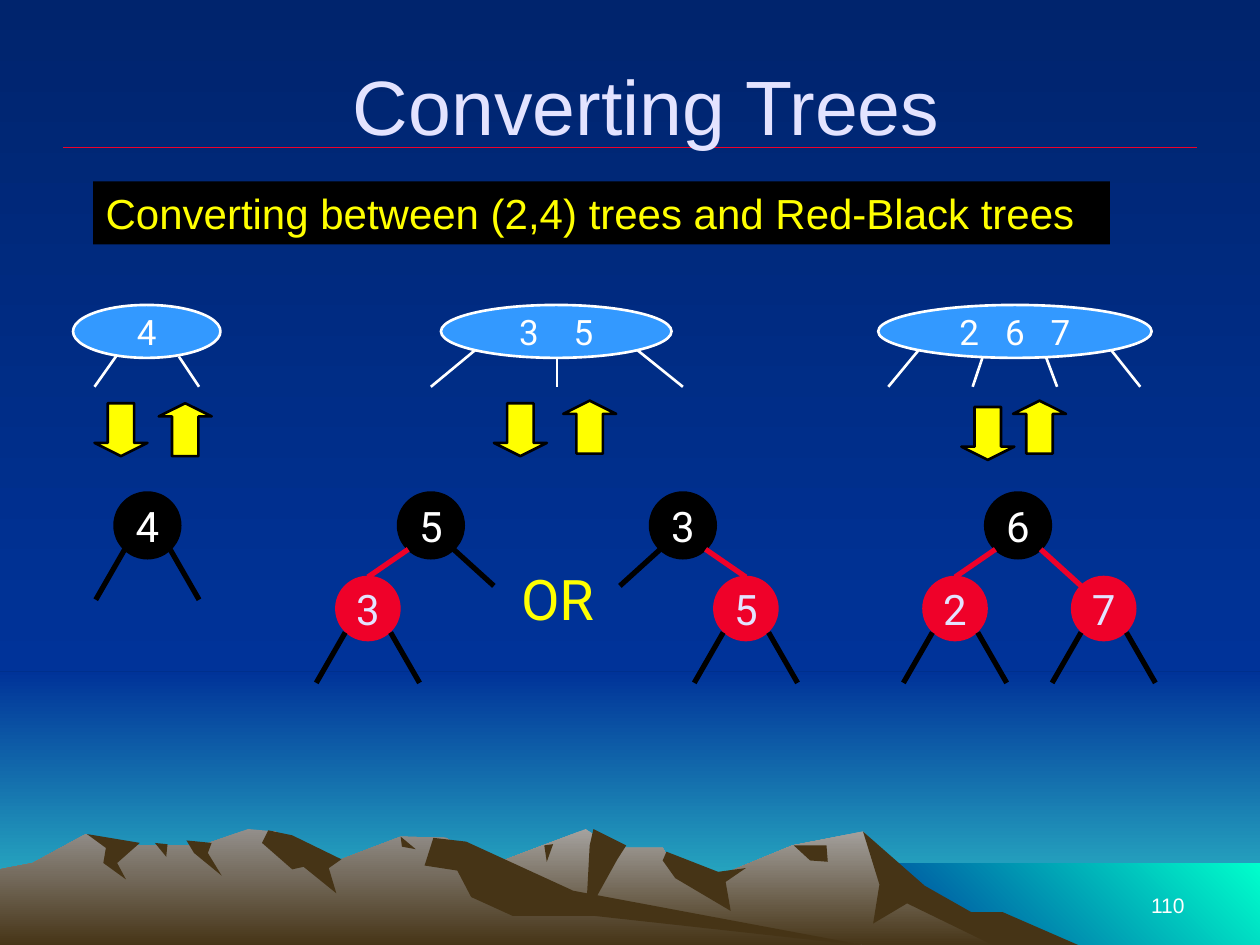
import pptx
import pptx.util
import pptx.dml.color
import pptx.enum.dml
import pptx.enum.shapes
import pptx.enum.text
import pptx.oxml.ns
from lxml import etree

RGB = pptx.dml.color.RGBColor
SHAPE = pptx.enum.shapes.MSO_SHAPE
ALIGN = pptx.enum.text.PP_ALIGN
ANCHOR = pptx.enum.text.MSO_ANCHOR
PX = 9144

NAVY = RGB(0x00, 0x24, 0x6D)
BLUE = RGB(0x00, 0x33, 0x99)
TEAL = RGB(0x33, 0xCC, 0xCC)
AQUA = RGB(0x00, 0xFF, 0xCC)
STONE = RGB(0xA5, 0xA2, 0x9F)
DUST = RGB(0x93, 0x8F, 0x8B)
EARTH = RGB(0x46, 0x34, 0x16)
SKY = RGB(0x33, 0x99, 0xFF)
RED = RGB(0xEF, 0x01, 0x29)
BLACK = RGB(0x00, 0x00, 0x00)
WHITE = RGB(0xFF, 0xFF, 0xFF)
YELLOW = RGB(0xFF, 0xFF, 0x00)
LILAC = RGB(0xE3, 0xE3, 0xFF)

TITLE = {"name": "Arial", "size": pptx.util.Pt(44)}
CAPTION = {"name": "Arial", "size": pptx.util.Pt(24)}
NUMBER = {"name": "Arial", "size": pptx.util.Pt(12)}
KEYS = {"name": "Roboto", "size": pptx.util.Pt(20)}
NODE = {"name": "Roboto", "size": pptx.util.Pt(24)}
CHOICE = {"name": "Roboto", "size": pptx.util.Pt(32)}


def write(holder, text, values, color, align=ALIGN.CENTER, anchor=ANCHOR.MIDDLE, wrap=False, gap=0):
    frame = holder.text_frame
    frame.word_wrap = wrap
    frame.vertical_anchor = anchor
    paragraph = frame.paragraphs[0]
    paragraph.alignment = align
    for piece in text.replace(" ", "| |").split("|") if gap else [text]:
        run = paragraph.add_run()
        run.text = piece
        for attribute, value in values.items():
            setattr(run.font, attribute, value)
        run.font.color.rgb = color
        if piece == " ":
            run.font._element.set("spc", str(gap))


def draw(kind, box, fills, angle=270, line=None, width=1.5):
    shape = slide.shapes.add_shape(kind, *[length * PX for length in box])
    shape.shadow.inherit = False
    if len(fills) == 1:
        shape.fill.solid()
        shape.fill.fore_color.rgb = fills[0]
    else:
        shape.fill.gradient()
        shape.fill.gradient_angle = angle
        for stop, color in zip(shape.fill.gradient_stops, fills):
            stop.color.rgb = color
    if line is None:
        shape.line.fill.background()
    else:
        shape.line.color.rgb = line
        shape.line.width = pptx.util.Pt(width)
    return shape


deck = pptx.Presentation()
deck.slide_width = 1000 * PX
deck.slide_height = 750 * PX
slide = deck.slides.add_slide(deck.slide_layouts[5])

backdrop = slide.background.fill
backdrop.gradient()
backdrop.gradient_angle = 270
for stop, color in zip(backdrop.gradient_stops, [NAVY, BLUE]):
    stop.color.rgb = color

draw(SHAPE.RECTANGLE, (0, 533, 1000, 217), [BLUE, TEAL])
draw(SHAPE.RECTANGLE, (0, 0, 1000, 533), [NAVY, BLUE])
draw(SHAPE.RECTANGLE, (683, 685, 317, 67), [BLUE, AQUA], 45)

mountains = [
    ([STONE, EARTH], [
        (821, 751), (764, 723), (723, 698), (685, 660), (629, 671), (566, 697), (536, 690), (526, 673),
        (486, 673), (465, 658), (394, 685), (327, 709), (258, 751)]),
    ([EARTH], [
        (796, 724), (771, 724), (734, 703), (685, 660), (698, 702), (693, 733), (720, 717), (792, 752),
        (858, 751)]),
    ([EARTH], [(471, 658), (468, 671), (465, 727), (490, 682), (497, 671)]),
    ([EARTH], [(529, 676), (526, 683), (536, 697), (580, 723), (576, 700), (592, 689), (570, 692)]),
    ([EARTH], [(630, 671), (643, 683), (657, 684), (656, 671)]),
    ([EARTH], [(432, 671), (439, 670), (434, 684)]),
    ([DUST, EARTH], [
        (690, 751), (432, 712), (354, 665), (318, 664), (271, 682), (236, 681), (219, 660), (197, 658),
        (160, 671), (94, 671), (68, 662), (26, 685), (0, 690), (0, 751)]),
    ([EARTH], [
        (213, 659), (208, 669), (232, 690), (241, 688), (267, 709), (261, 689), (271, 682), (232, 663)]),
    ([EARTH], [
        (370, 668), (344, 665), (337, 687), (363, 691), (374, 712), (407, 727), (472, 727), (690, 751),
        (455, 707)]),
    ([EARTH], [(318, 664), (330, 674), (319, 672)]),
    ([EARTH], [(148, 667), (168, 669), (165, 677), (176, 695), (154, 677)]),
    ([EARTH], [(123, 669), (133, 670), (132, 680)]),
    ([EARTH], [(69, 662), (111, 669), (93, 685), (100, 698), (82, 685), (84, 673)]),
]
for colors, outline in mountains:
    builder = slide.shapes.build_freeform(*outline[0], scale=PX)
    builder.add_line_segments(outline[1:], close=True)
    terrain = builder.convert_to_shape()
    terrain.shadow.inherit = False
    terrain.line.fill.background()
    if len(colors) == 1:
        terrain.fill.solid()
        terrain.fill.fore_color.rgb = colors[0]
    else:
        terrain.fill.gradient()
        terrain.fill.gradient_angle = 270
        for stop, color in zip(terrain.fill.gradient_stops, colors):
            stop.color.rgb = color

segments = [(50, 117, 950, 117, RED, 0.75, None)]

multiway_nodes = [
    ("4", 58, 117, 0, [(92, 75), (142, 158)]),
    ("3 5", 350, 183, 1485, [(377, 342), (442, 442), (506, 542)]),
    ("2 6 7", 697, 217, 990, [(729, 705), (780, 772), (830, 839), (882, 905)]),
]
for keys, left, width, gap, branches in multiway_nodes:
    node = draw(SHAPE.OVAL, (left, 242, width, 42), [SKY], line=WHITE)
    write(node, keys, KEYS, WHITE, gap=gap)
    for start, end in branches:
        is_outer = len(branches) > 2 and start in (branches[0][0], branches[-1][0])
        segments.append((start, 278 if is_outer else 283, end, 307, WHITE, 1.5, None))

binary_nodes = [
    ("4", 92, 392), ("5", 317, 392), ("3", 517, 392), ("6", 783, 392),
    ("3", 267, 458), ("5", 567, 458), ("2", 733, 458), ("7", 851, 458),
]
circles = []
for key, left, top in binary_nodes:
    fill, ink, outline_width = (BLACK, WHITE, 3) if top == 392 else (RED, LILAC, 1.5)
    circle = draw(SHAPE.OVAL, (left, top, 50, 50), [fill], line=fill, width=outline_width)
    write(circle, key, NODE, ink)
    circles.append(circle)
    if fill == RED or key == "4":
        for start, end in [(7, -16), (43, 66)]:
            segments.append((left + start, top + 44, left + end, top + 84, BLACK, 3, None))

five, three, six, left_three, right_five, two = circles[1:7]
for parent, left_color, left_child, right_color, right_child in [
    (five, RED, left_three, BLACK, None),
    (three, BLACK, None, RED, right_five),
    (six, RED, two, RED, None),
]:
    left = parent.left // PX
    segments.append((left + 7, 436, left - 25, 465, left_color, 3, left_child))
    segments.append((left + 43, 436, left + 75, 465, right_color, 3, right_child))

for x1, y1, x2, y2, color, width, child in segments:
    branch = slide.shapes.add_connector(
        pptx.enum.shapes.MSO_CONNECTOR.STRAIGHT, x1 * PX, y1 * PX, x2 * PX, y2 * PX)
    branch.line.color.rgb = color
    branch.line.width = pptx.util.Pt(width)
    etree.SubElement(branch._element.spPr, pptx.oxml.ns.qn("a:effectLst"))
    if child is not None:
        branch.end_connect(child, 0)

for down_left, down_top, up_left, up_top in [(75, 320, 126, 320), (392, 320, 447, 318), (763, 323, 804, 318)]:
    for kind, left, top in [(SHAPE.DOWN_ARROW, down_left, down_top), (SHAPE.UP_ARROW, up_left, up_top)]:
        conversion = draw(kind, (left, top, 42, 42), [YELLOW], line=BLACK)
        conversion.adjustments[0] = 0.5
        conversion.adjustments[1] = 0.25

caption = draw(SHAPE.RECTANGLE, (74, 144, 807, 50), [BLACK])
write(caption, "Converting between (2,4) trees and Red-Black trees", CAPTION, YELLOW, ALIGN.LEFT, ANCHOR.TOP, True)

choice = slide.shapes.add_textbox(403 * PX, 443 * PX, 79 * PX, 63 * PX)
write(choice, "OR", CHOICE, YELLOW, anchor=ANCHOR.TOP)

number = slide.shapes.add_textbox(717 * PX, 683 * PX, 233 * PX, 50 * PX)
write(number, "110", NUMBER, WHITE, ALIGN.RIGHT, ANCHOR.BOTTOM, True)

title = slide.shapes.title
title.left, title.top, title.width, title.height = 67 * PX, 33 * PX, 892 * PX, 100 * PX
write(title, "Converting Trees", TITLE, LILAC, wrap=True)
slide.shapes._spTree.append(title._element)

deck.save("out.pptx")
